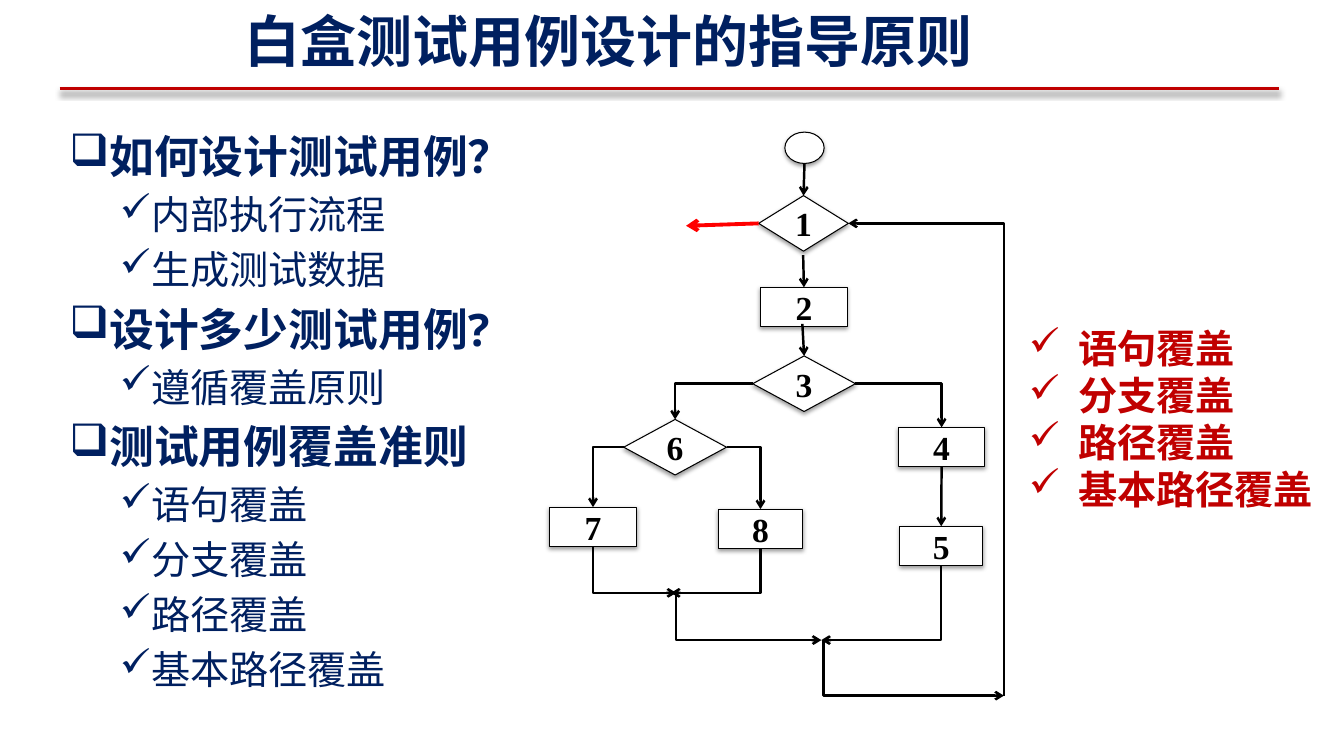
import pptx
import pptx.dml.color
import pptx.enum.shapes
import pptx.enum.text
import pptx.oxml.ns
import pptx.util
from lxml import etree

Cm, Pt = pptx.util.Cm, pptx.util.Pt
MSO_SHAPE = pptx.enum.shapes.MSO_SHAPE
MSO_CONNECTOR = pptx.enum.shapes.MSO_CONNECTOR
MSO_ANCHOR = pptx.enum.text.MSO_ANCHOR
PP_ALIGN = pptx.enum.text.PP_ALIGN
qn = pptx.oxml.ns.qn

NAVY, RED, BLACK, WHITE = "002060", "C00000", "000000", "FFFFFF"
CJK = "Noto Sans CJK SC"
TOP, LEFT, BOTTOM, RIGHT = range(4)


def color(hex_string):
    return pptx.dml.color.RGBColor.from_string(hex_string)


def add_xml(parent, tag, **attrs):
    return etree.SubElement(parent, qn(tag), {k: str(v) for k, v in attrs.items()})


def add_shadow(effects, blur, dist, alpha):
    shadow = add_xml(effects, "a:outerShdw", blurRad=Pt(blur), dist=Pt(dist),
                     dir=5400000, algn="ctr", rotWithShape=0)
    add_xml(add_xml(shadow, "a:srgbClr", val=BLACK), "a:alpha", val=alpha * 1000)


def style_font(p, name, size, hex_string, bold):
    p.font.name, p.font.size, p.font.bold = name, Pt(size), bold
    p.font.color.rgb = color(hex_string)
    if name == CJK:
        latin = p.font._element.find(qn("a:latin"))
        latin.addnext(etree.Element(qn("a:ea"), typeface=CJK))


def set_bullet(p, char, indent, hanging):
    pPr = p._p.get_or_add_pPr()
    pPr.set("marL", str(Cm(indent)))
    pPr.set("indent", str(-Cm(hanging)))
    bullet = etree.Element(qn("a:buChar"), char=char)
    pPr.find(qn("a:defRPr")).addprevious(bullet)


def add_line(s, start, end, hex_string=BLACK, width=1.75, kind=MSO_CONNECTOR.STRAIGHT,
             arrow=True):
    """Draw a connector between two points in cm; return it with its empty effect list."""
    c = s.shapes.add_connector(kind, *(Cm(v) for v in (*start, *end)))
    c.line.color.rgb, c.line.width = color(hex_string), Pt(width)
    if arrow:
        add_xml(c.line._get_or_add_ln(), "a:tailEnd", type="arrow")
    return c, add_xml(c._element.spPr, "a:effectLst")


def add_text_box(s, box):
    sp = s.shapes.add_textbox(*(Cm(v) for v in box))
    sp.text_frame.word_wrap = True
    return sp


def add_paragraphs(tf, texts):
    tf.text = "\n".join(texts)
    return tf.paragraphs


def add_header(s, x, y, w, h):
    # Rule under the title
    c, effects = add_line(s, (x, y + h), (x + w, y + h), RED, 2.25, arrow=False)
    add_shadow(effects, 4, 3, 40)
    # Title
    sp = add_text_box(s, (x + 4.42, y + 0.03, 25.91, 1.96))
    sp.fill.solid()
    sp.fill.fore_color.rgb = color(WHITE)
    tf = sp.text_frame
    tf.vertical_anchor = MSO_ANCHOR.MIDDLE
    p, = add_paragraphs(tf, ["白盒测试用例设计的指导原则"])
    style_font(p, CJK, 40, NAVY, True)


def add_outline(s, box):
    sections = [
        ("如何设计测试用例？", ["内部执行流程", "生成测试数据"]),
        ("设计多少测试用例?", ["遵循覆盖原则"]),
        ("测试用例覆盖准则", ["语句覆盖", "分支覆盖", "路径覆盖", "基本路径覆盖"]),
    ]
    rows = []
    for heading, points in sections:
        rows += [(heading, True)] + [(point, False) for point in points]
    tf = add_text_box(s, box).text_frame
    for p, (_, is_heading) in zip(add_paragraphs(tf, [text for text, _ in rows]), rows):
        size = 32 if is_heading else 28
        p.level = 0 if is_heading else 1
        p.space_before = Pt(size * 0.2)
        style_font(p, "Open Sans", size, NAVY, is_heading)
        set_bullet(p, *(("❑", 0.97, 0.97) if is_heading else ("✓", 2.06, 0.79)))


def add_coverage_list(s, box):
    tf = add_text_box(s, box).text_frame
    for p in add_paragraphs(tf, ["语句覆盖", "分支覆盖", "路径覆盖", "基本路径覆盖"]):
        p.level, p.alignment = 1, PP_ALIGN.JUSTIFY
        style_font(p, CJK, 28, RED, True)
        set_bullet(p, "✓", 1.24, 1.24)


def add_node(s, preset, label, x, y, w, h):
    sp = s.shapes.add_shape(preset, Cm(x), Cm(y), Cm(w), Cm(h))
    sp.fill.solid()
    sp.fill.fore_color.rgb = color(WHITE)
    sp.line.color.rgb, sp.line.width = color(BLACK), Pt(0.75)
    sp.shadow.inherit = False
    add_shadow(sp._element.spPr.find(qn("a:effectLst")), 3.1, 1.6, 38)
    if label:
        tf = sp.text_frame
        tf.margin_left = tf.margin_right = tf.margin_top = tf.margin_bottom = 0
        tf.vertical_anchor, tf.word_wrap = MSO_ANCHOR.MIDDLE, False
        p, = add_paragraphs(tf, [label])
        p.alignment = PP_ALIGN.CENTER
        style_font(p, "Times New Roman", 24, BLACK, True)
    return sp


def add_elbow(s, start, end, across_first):
    c, _ = add_line(s, start, end, kind=MSO_CONNECTOR.ELBOW)
    geom = c._element.spPr.find(qn("a:prstGeom"))
    if across_first:
        geom.set("prst", "bentConnector2")
    else:
        guides = geom.find(qn("a:avLst"))
        add_xml(guides, "a:gd", name="adj1", fmla="val 0")


def add_flowchart(s, x, y):
    diamond, rect = MSO_SHAPE.DIAMOND, MSO_SHAPE.RECTANGLE
    layout = {
        "": (MSO_SHAPE.OVAL, 5.94, 0, 0.99, 0.79),
        "1": (diamond, 5.28, 1.6, 2.26, 1.4),
        "2": (rect, 5.33, 3.91, 2.18, 0.99),
        "3": (diamond, 5.13, 5.64, 2.59, 1.4),
        "6": (diamond, 1.88, 7.24, 2.59, 1.4),
        "7": (rect, 0, 9.45, 2.21, 0.99),
        "8": (rect, 4.27, 9.5, 2.11, 0.99),
        "4": (rect, 8.81, 7.44, 2.16, 0.99),
        "5": (rect, 8.84, 9.93, 2.08, 0.99),
    }
    nodes = {label: add_node(s, preset, label, x + dx, y + dy, w, h)
             for label, (preset, dx, dy, w, h) in layout.items()}

    def at(dx, dy):
        return x + dx, y + dy

    def side(label, where):
        _, dx, dy, w, h = layout[label]
        fx, fy = ((0.5, 0), (0, 0.5), (0.5, 1), (1, 0.5))[where]
        return at(dx + w * fx, dy + h * fy)

    # Straight arrows down the main line
    for start, source, target in [(side("", BOTTOM), None, "1"), (at(6.4, 3.1), None, "2"),
                                  (at(6.38, 4.83), None, "3"),
                                  (side("4", BOTTOM), "4", "5")]:
        c, _ = add_line(s, start, side(target, TOP))
        if source:
            c.begin_connect(nodes[source], BOTTOM)
        c.end_connect(nodes[target], TOP)

    # Branches out of the decisions
    for source, where, target in [("3", LEFT, "6"), ("3", RIGHT, "4"),
                                  ("6", LEFT, "7"), ("6", RIGHT, "8")]:
        add_elbow(s, side(source, where), side(target, TOP), True)

    # Branches joining again, and the loop back to node 1
    join, corner = at(6.86, 12.8), at(11.46, 14.2)
    for start, end in [(side("7", BOTTOM), at(3.2, 11.61)),
                       (side("8", BOTTOM), at(3.07, 11.61)),
                       (at(3.2, 11.66), join), (side("5", BOTTOM), join),
                       (at(6.91, 12.8), corner), (corner, side("1", RIGHT))]:
        add_elbow(s, start, end, False)

    # Exit from the loop
    c, _ = add_line(s, side("1", LEFT), at(3.45, 2.36), "FF0000", 2.75)
    c.begin_connect(nodes["1"], LEFT)


def main():
    prs = pptx.Presentation()
    prs.slide_width, prs.slide_height = Cm(33.87), Cm(19.05)
    s = prs.slides.add_slide(prs.slide_layouts[6])
    add_header(s, 1.5, 0, 30.73, 2.24)
    add_outline(s, (1.5, 3.12, 30.33, 14))
    add_flowchart(s, 13.84, 3.33)
    add_coverage_list(s, (25.68, 8.05, 7.82, 5.05))
    prs.save("out.pptx")


if __name__ == "__main__":
    main()
